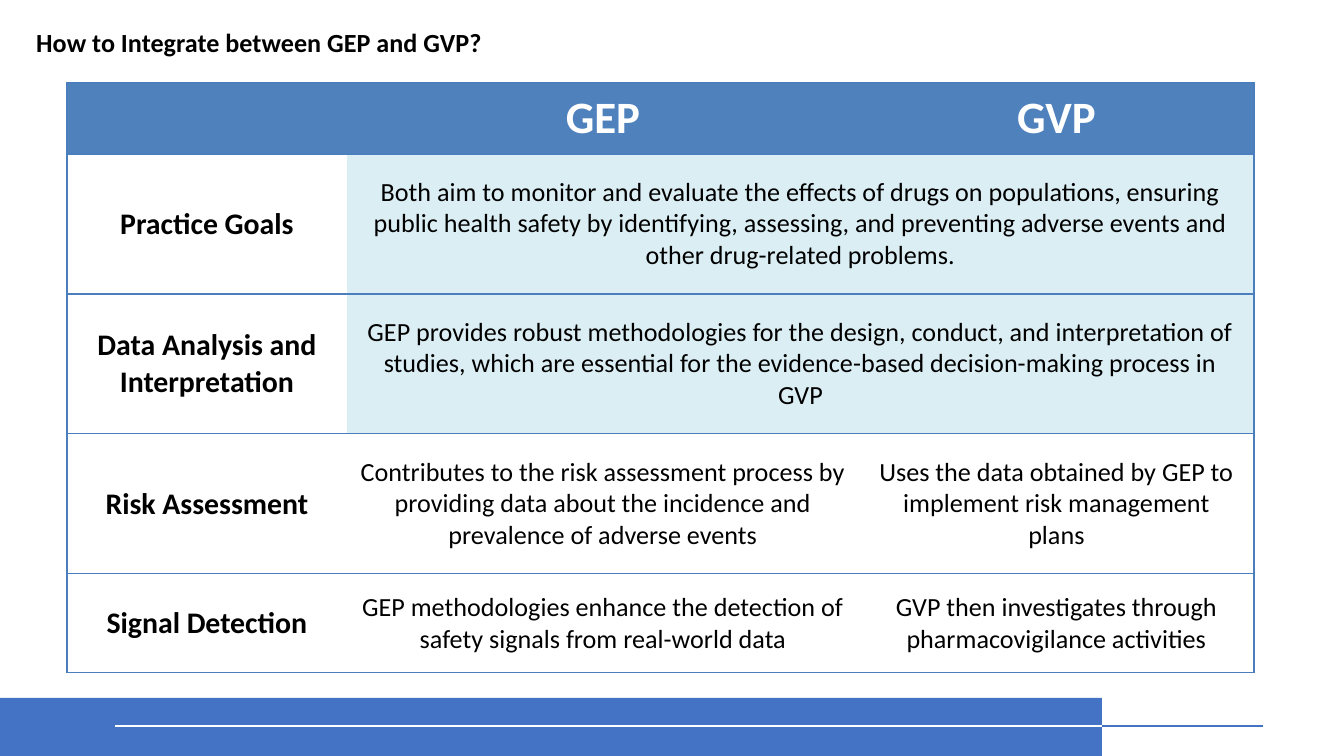
from lxml.etree import SubElement
from pptx import Presentation
from pptx.dml.color import RGBColor
from pptx.enum.shapes import MSO_CONNECTOR, MSO_SHAPE
from pptx.enum.text import MSO_ANCHOR as ANCHOR, PP_ALIGN as ALIGN
from pptx.oxml import parse_xml
from pptx.oxml.ns import nsdecls, qn
from pptx.util import Emu, Pt

SCALE = 9144000 / 1344
C = {"bar": "4472C4", "header": "4F81BD", "border": "4B7EBC",
     "shared": "DBEEF4", "white": "FFFFFF", "black": "000000"}


def px(*values):
    return [Emu(round(v * SCALE)) for v in values]


def style(p, size, color, bold):
    p.font.name = "Calibri"
    p.font.size = Pt(size)
    p.font.bold = bold
    p.font.color.rgb = RGBColor.from_string(C[color])


prs = Presentation()
prs.slide_width, prs.slide_height = px(1344, 756)
s = prs.slides.add_slide(prs.slide_layouts[6])

bar = s.shapes.add_shape(MSO_SHAPE.RECTANGLE, *px(0, 698, 1102, 58))
bar.shadow.inherit = False
bar.fill.solid()
bar.fill.fore_color.rgb = RGBColor.from_string(C["bar"])
bar.line.fill.background()

for x1, x2, color in [(1110, 115, "white"), (1263, 1102, "bar")]:
    line = s.shapes.add_connector(MSO_CONNECTOR.STRAIGHT, *px(x1, 726, x2, 726))
    line.line.color.rgb = RGBColor.from_string(C[color])
    line.line.width = Pt(1.5)
    SubElement(line._element.spPr, qn("a:effectLst"))

rows = [
    ["", "GEP", "GVP"],
    ["Practice Goals",
     "Both aim to monitor and evaluate the effects of drugs on populations, ensuring public health "
     "safety by identifying, assessing, and preventing adverse events and other drug-related problems."],
    ["Data Analysis and Interpretation",
     "GEP provides robust methodologies for the design, conduct, and interpretation of studies, "
     "which are essential for the evidence-based decision-making process in GVP"],
    ["Risk Assessment",
     "Contributes to the risk assessment process by providing data about the incidence and "
     "prevalence of adverse events",
     "Uses the data obtained by GEP to implement risk management plans"],
    ["Signal Detection",
     "GEP methodologies enhance the detection of safety signals from real-world data",
     "GVP then investigates through pharmacovigilance activities"],
]
widths = px(280, 512, 395)
heights = px(71, 140, 140, 140, 99)
table = s.shapes.add_table(5, 3, *px(67, 83, 1187, 590)).table
table.horz_banding = False
for col, width in zip(table.columns, widths):
    col.width = width
for row, height in zip(table.rows, heights):
    row.height = height

for i, texts in enumerate(rows):
    shared = len(texts) == 2
    if shared:
        table.cell(i, 1).merge(table.cell(i, 2))
    for j in range(3):
        cell = table.cell(i, j)
        cell.vertical_anchor = ANCHOR.MIDDLE
        fill = "header" if i == 0 else "shared" if shared and j else None
        if fill:
            cell.fill.solid()
            cell.fill.fore_color.rgb = RGBColor.from_string(C[fill])
        else:
            cell.fill.background()
        if j < len(texts):
            p = cell.text_frame.paragraphs[0]
            p.text = texts[j]
            p.alignment = ALIGN.CENTER
            size = 24 if i == 0 else 14 if j else 16
            style(p, size, "black" if i else "white", i == 0 or j == 0)
        right = j == 2 or cell.is_merge_origin
        edges = [("L", j == 0), ("R", right), ("T", True), ("B", True)]
        for k, (side, visible) in enumerate(edges):
            paint = f'<a:solidFill><a:srgbClr val="{C["border"]}"/></a:solidFill>' if visible else "<a:noFill/>"
            cell._tc.tcPr.insert(k, parse_xml(f'<a:ln{side} {nsdecls("a")} w="9525">{paint}</a:ln{side}>'))

tf = s.shapes.add_textbox(*px(23, 20, 840, 46)).text_frame
tf.word_wrap = True
p = tf.paragraphs[0]
p.text = "How to Integrate between GEP and GVP?"
style(p, 14, "black", True)

prs.save("out.pptx")
